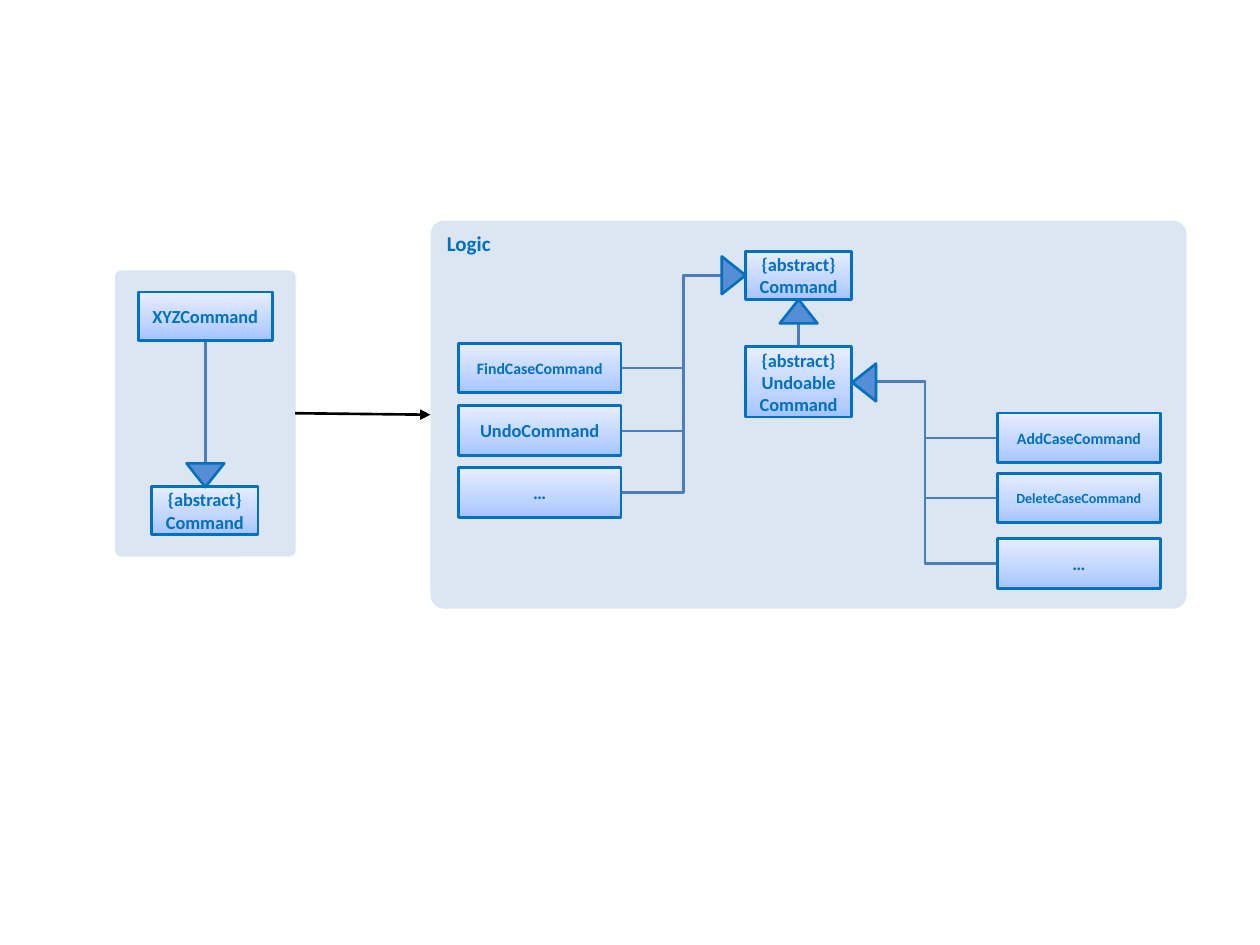
import copy
import lxml.etree
import pptx
import pptx.util
import pptx.dml.color
import pptx.enum.shapes
import pptx.enum.text
import pptx.oxml.ns

Cm = pptx.util.Cm
Pt = pptx.util.Pt
KIND = pptx.enum.shapes.MSO_SHAPE
LINK = pptx.enum.shapes.MSO_CONNECTOR
ALIGN = pptx.enum.text.PP_ALIGN
ANCHOR = pptx.enum.text.MSO_ANCHOR
qn = pptx.oxml.ns.qn
rgb = pptx.dml.color.RGBColor.from_string

PANEL, EDGE, WIRE, TIP = "DCE6F2", "0070C0", "4B7EBC", "558ED5"
FADE = [(0, "A4C4FF"), (0.35, "BFD4FF"), (1, "E6EEFF")]

deck = pptx.Presentation()
deck.slide_width, deck.slide_height = Cm(25.4), Cm(19.05)
slide = deck.slides.add_slide(deck.slide_layouts[6])


def shape(kind, x, y, w, h, text="", size=10.5):
    item = slide.shapes.add_shape(kind, Cm(x), Cm(y), Cm(w), Cm(h))
    item.shadow.inherit = False
    item.line.color.rgb = rgb(EDGE)
    item.line.width = Pt(1.5)
    if text:
        frame = item.text_frame
        frame.text = text
        frame.word_wrap = True
        frame.vertical_anchor = ANCHOR.MIDDLE
        for para in frame.paragraphs:
            para.alignment = ALIGN.CENTER
            for run in para.runs:
                run.font.name = "Calibri"
                run.font.size = Pt(size)
                run.font.bold = True
                run.font.color.rgb = rgb(EDGE)
    return item


def link(kind, x1, y1, x2, y2, color=WIRE):
    wire = slide.shapes.add_connector(kind, Cm(x1), Cm(y1), Cm(x2), Cm(y2))
    wire.line.color.rgb = rgb(color)
    wire.line.width = Pt(1.5)
    lxml.etree.SubElement(wire._element.spPr, qn("a:effectLst"))
    return wire


# Background panels
for x, y, w, h, text in [(2.32, 5.45, 3.64, 5.77, ""),
                         (8.68, 4.45, 15.24, 7.82, "Logic")]:
    panel = shape(KIND.ROUNDED_RECTANGLE, x, y, w, h, text, 12)
    panel.adjustments[0] = 0.035
    panel.fill.solid()
    panel.fill.fore_color.rgb = rgb(PANEL)
    panel.line.fill.background()
    panel.text_frame.vertical_anchor = ANCHOR.TOP
    panel.text_frame.paragraphs[0].alignment = ALIGN.LEFT

# Inheritance lines: left group joins Command, right group joins Undoable
for y in (7.42, 8.69, 9.93):
    link(LINK.ELBOW, 15.03, 5.56, 12.52, y)
for y in (8.83, 10.04, 11.36):
    link(LINK.ELBOW, 17.18, 7.69, 20.11, y)
link(LINK.STRAIGHT, 16.1, 6.04, 16.1, 6.99)
link(LINK.STRAIGHT, 4.14, 9.35, 4.14, 6.86)

# Class boxes
for x, y, w, h, text, size in [
        (15.03, 5.07, 2.14, 0.97, "{abstract}\vCommand", 10.5),
        (15.03, 6.99, 2.14, 1.42, "{abstract}\vUndoable\nCommand", 10.5),
        (20.11, 8.33, 3.28, 1, "AddCaseCommand", 9),
        (20.11, 9.54, 3.28, 1, "DeleteCaseCommand", 8),
        (20.11, 10.86, 3.28, 1, "…", 10.5),
        (9.24, 6.92, 3.28, 1, "FindCaseCommand", 9),
        (9.24, 8.18, 3.28, 1, "UndoCommand", 10.5),
        (9.24, 9.43, 3.28, 1, "…", 10.5),
        (2.79, 5.89, 2.7, 0.97, "XYZCommand", 10.5),
        (3.06, 9.81, 2.14, 0.97, "{abstract}\vCommand", 10.5)]:
    box = shape(KIND.RECTANGLE, x, y, w, h, text, size)
    box.text_frame.margin_left = box.text_frame.margin_right = 0
    box.fill.gradient()
    box.fill.gradient_angle = 90
    stops = box._element.spPr.find(".//" + qn("a:gsLst"))
    stops.insert(1, copy.deepcopy(stops[0]))
    for stop, (pos, color) in zip(box.fill.gradient_stops, FADE):
        stop.position = pos
        stop.color.rgb = rgb(color)

# Inheritance heads, placed by their centre
for x, y, turn in [(16.1, 6.28, 0), (17.42, 7.71, 270),
                   (14.79, 5.55, 90), (4.14, 9.58, 180)]:
    head = shape(KIND.ISOSCELES_TRIANGLE, x - 0.38, y - 0.24, 0.76, 0.48)
    head.rotation = turn
    head.fill.solid()
    head.fill.fore_color.rgb = rgb(TIP)

# Arrow between the panels
arrow = link(LINK.STRAIGHT, 8.68, 8.36, 5.95, 8.33, "000000")
edge = arrow._element.spPr.find(qn("a:ln"))
lxml.etree.SubElement(edge, qn("a:headEnd"), type="triangle")

deck.save("out.pptx")
